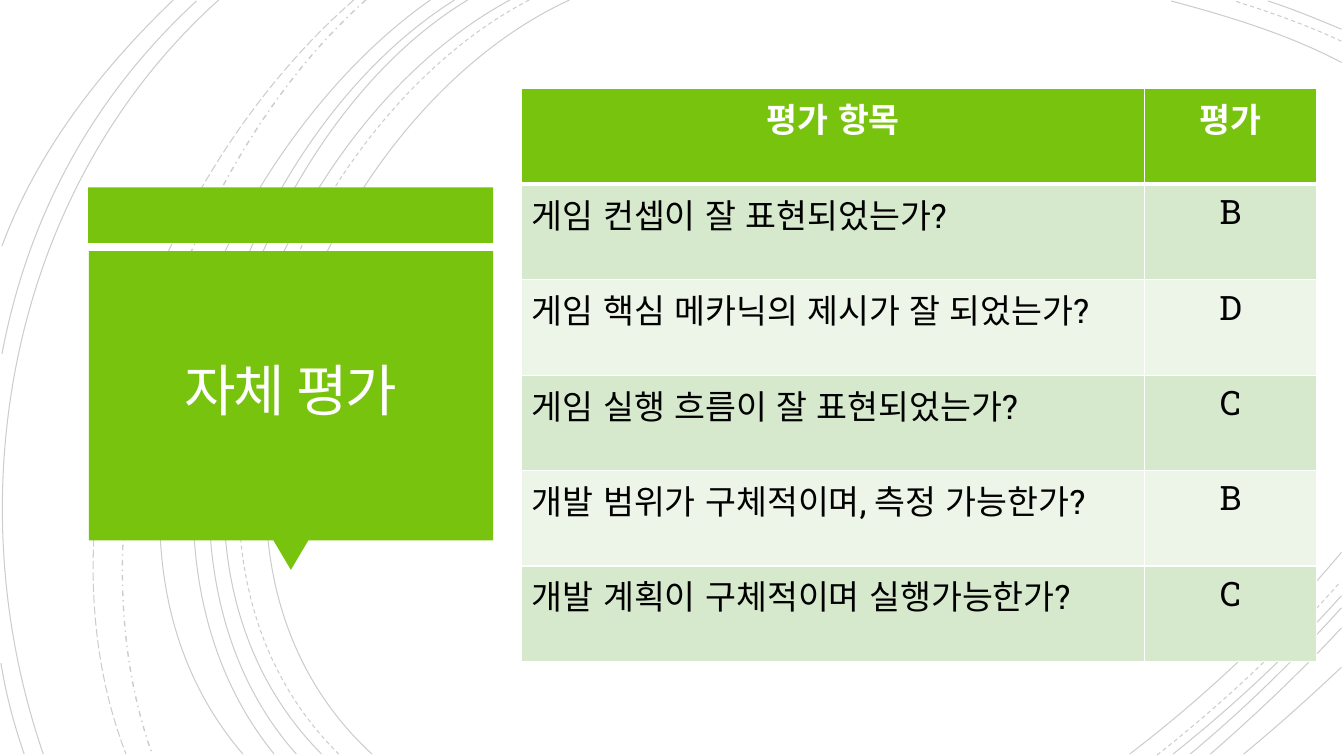
from lxml.etree import SubElement
from pptx import Presentation
from pptx.dml.color import RGBColor
from pptx.enum.dml import MSO_LINE
from pptx.enum.lang import MSO_LANGUAGE_ID
from pptx.enum.shapes import MSO_SHAPE
from pptx.enum.text import MSO_ANCHOR, PP_ALIGN
from pptx.oxml.ns import qn
from pptx.util import Cm, Pt

HEX = {"green": "78C30D", "mid": "D6E9CC", "pale": "ECF5E7",
       "white": "FFFFFF", "title": "FFFEFF", "black": "000000"}
INCH = 2.54
KOREAN = MSO_LANGUAGE_ID.KOREAN


def tint(fmt, name):
    fmt.solid()
    fmt.fore_color.rgb = RGBColor.from_string(HEX[name])


def style(item, values):
    for key, value in values.items():
        setattr(item, key, value)


deck = Presentation()
style(deck, {"slide_width": Cm(33.87), "slide_height": Cm(19.05)})
slide = deck.slides.add_slide(deck.slide_layouts[6])
shapes = slide.shapes

SOLID, DASH = MSO_LINE.SOLID, MSO_LINE.DASH
ARCS = [
    (SOLID, 5.65, 0, 3.15, 1.15, 1.43, 5.4, 3.69, 7.48),
    (SOLID, 13.31, 0.62, 12.78, 0.34, 12.18, 0.16, 11.62, 0.01),
    (SOLID, 11.21, 7.48, 11.97, 6.9, 12.69, 6.22, 13.31, 5.48),
    (DASH, 5.25, 0, 2.85, 1.25, 1.23, 5.37, 3.36, 7.48),
    (DASH, 13.31, 0.41, 12.97, 0.25, 12.6, 0.12, 12.25, 0.01),
    (DASH, 11.48, 7.49, 12.13, 6.98, 12.75, 6.4, 13.3, 5.77),
    (SOLID, 5.06, 0, 2.7, 1.27, 1.1, 5.37, 3.19, 7.48),
    (SOLID, 13.31, 0.29, 13.07, 0.19, 12.83, 0.09, 12.58, 0.01),
    (SOLID, 11.64, 7.48, 12.23, 7.01, 12.8, 6.48, 13.31, 5.91),
    (SOLID, 4.64, 0, 2.44, 1.33, 1.1, 5.41, 2.94, 7.48),
    (SOLID, 11.81, 7.48, 12.34, 7.04, 12.84, 6.55, 13.31, 6.03),
    (SOLID, 4.51, 0, 2.31, 1.38, 0.97, 5.33, 2.72, 7.48),
    (SOLID, 12.01, 7.48, 12.46, 7.09, 12.9, 6.67, 13.31, 6.23),
    (SOLID, 4.27, 0, 2.17, 1.47, 0.53, 5.29, 2.41, 7.48),
    (SOLID, 12.34, 7.48, 12.67, 7.21, 12.99, 6.92, 13.31, 6.62),
    (MSO_LINE.DASH_DOT, 3.63, 0, 1.76, 1.66, 0.65, 5.09, 1.51, 7.48),
    (MSO_LINE.LONG_DASH, 3.51, 0, 1.57, 1.69, 0.29, 4.99, 1.25, 7.48),
    (SOLID, 2.17, 0, 0.11, 1.85, -0.46, 4.9, 0.43, 7.48),
    (SOLID, 1.95, 0.01, 0.92, 0.96, 0.28, 2.14, 0.02, 3.51),
    (SOLID, 0.01, 6.58, 0.06, 6.89, 0.14, 7.19, 0.24, 7.48),
    (SOLID, 1.72, 0, 1, 0.69, 0.37, 1.5, 0.02, 2.44),
]

for dash, *nodes in ARCS:
    spots = [Cm(INCH * node) for node in nodes]
    dots = list(zip(spots[::2], spots[1::2]))
    pen = shapes.build_freeform(*dots[0])
    pen.add_line_segments(dots[1:], close=False)
    arc = pen.convert_to_shape()
    legs = list(arc._element.iter(qn("a:lnTo")))
    curve = SubElement(legs[0].getparent(), qn("a:cubicBezTo"))
    for leg in legs:
        curve.append(leg[0])
        leg.getparent().remove(leg)
    arc.shadow.inherit = False
    arc.fill.background()
    tint(arc.line.fill, "black")
    wide = 1 if dash == MSO_LINE.DASH_DOT else 0.75
    style(arc.line, {"width": Pt(wide), "dash_style": dash})
    shade = arc.line.fill._xPr.find(qn("a:solidFill"))[0]
    SubElement(shade, qn("a:alpha"), val="20000")

for kind, turn, box in [
    (MSO_SHAPE.RECTANGLE, 0, (2.22, 4.72, 10.21, 1.4)),
    (MSO_SHAPE.ISOSCELES_TRIANGLE, 180, (6.88, 13.6, 0.9, 0.76)),
    (MSO_SHAPE.RECTANGLE, 0, (2.24, 6.33, 10.19, 7.29)),
]:
    block = shapes.add_shape(kind, *map(Cm, box))
    block.rotation = turn
    block.shadow.inherit = False
    tint(block.fill, "green")
    block.line.fill.background()

title = shapes.add_textbox(Cm(2.46), Cm(6.53), Cm(9.73), Cm(6.83))
frame = title.text_frame
style(frame, {"word_wrap": True, "vertical_anchor": MSO_ANCHOR.MIDDLE,
              "margin_left": Cm(0.64), "margin_right": Cm(0.64),
              "margin_top": Cm(0.64), "margin_bottom": Cm(0.64)})
para = frame.paragraphs[0]
style(para, {"alignment": PP_ALIGN.CENTER, "line_spacing": 0.85})
run = para.add_run()
run.text = "자체 평가"
style(run.font, {"size": Pt(40), "name": "Calibri", "language_id": KOREAN})
tint(run.font.fill, "title")
run.font._element.set("spc", "-150")

ROWS = [
    ("평가 항목", "평가"),
    ("게임 컨셉이 잘 표현되었는가?", "B"),
    ("게임 핵심 메카닉의 제시가 잘 되었는가?", "D"),
    ("게임 실행 흐름이 잘 표현되었는가?", "C"),
    ("개발 범위가 구체적이며, 측정 가능한가?", "B"),
    ("개발 계획이 구체적이며 실행가능한가?", "C"),
]
table = shapes.add_table(len(ROWS), 2, Cm(13.15), Cm(2.24),
                         Cm(20.02), Cm(14.43)).table
for col, wide in zip(table.columns, (15.7, 4.32)):
    col.width = Cm(wide)

for r, words in enumerate(ROWS):
    table.rows[r].height = Cm(14.43 / len(ROWS))
    head = r == 0
    for c, word in enumerate(words):
        cell = table.cell(r, c)
        props = cell._tc.get_or_add_tcPr()
        for side in "LRTB":
            thick = (head and side == "B") or (r == 1 and side == "T")
            edge = SubElement(props, qn("a:ln" + side),
                              w=str(Pt(3 if thick else 1)))
            paint = SubElement(edge, qn("a:solidFill"))
            SubElement(paint, qn("a:srgbClr"), val=HEX["white"])
        tint(cell.fill, "green" if head else "mid" if r % 2 else "pale")
        para = cell.text_frame.paragraphs[0]
        para.alignment = PP_ALIGN.CENTER if head or c else PP_ALIGN.LEFT
        run = para.add_run()
        run.text = word
        style(run.font, {"size": Pt(24), "name": "Roboto Slab",
                         "bold": head, "language_id": KOREAN})
        tint(run.font.fill, "white" if head else "black")

deck.save("out.pptx")
